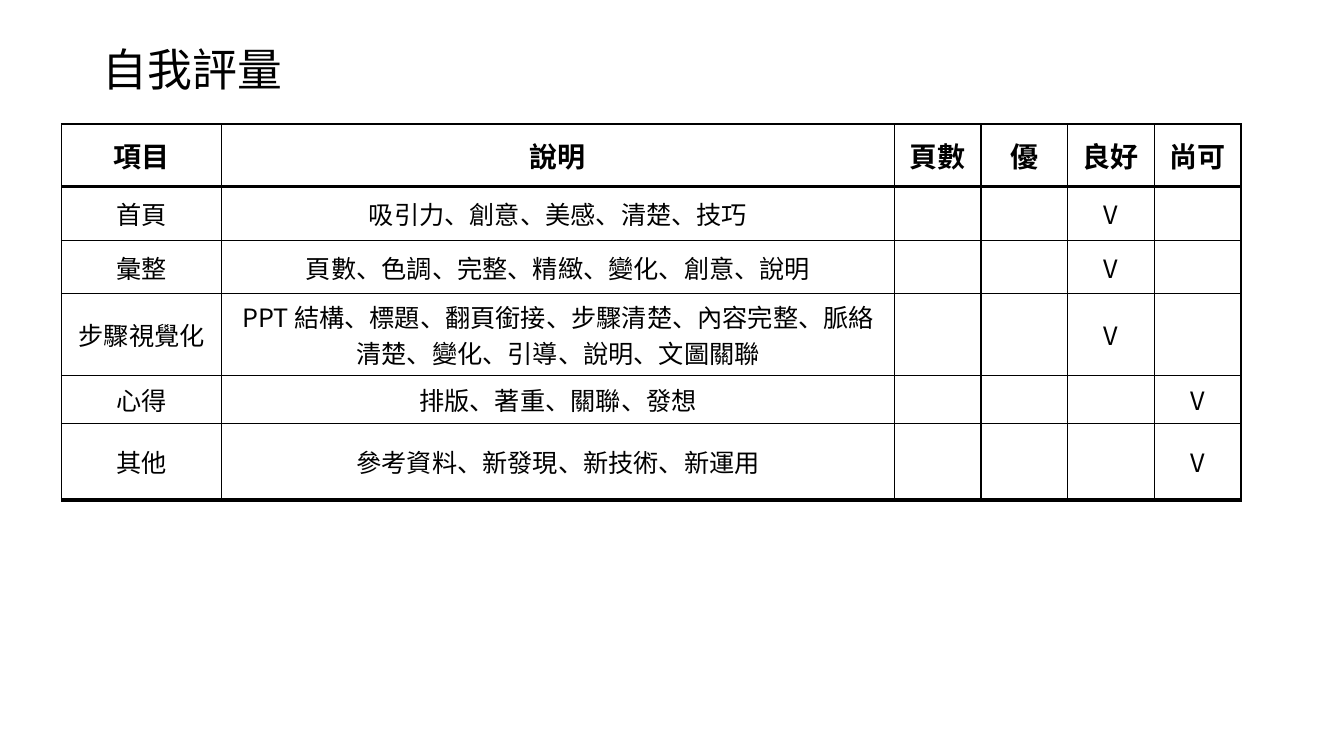
import pptx
import pptx.dml.color
import pptx.enum.text
import pptx.oxml
import pptx.oxml.ns
import pptx.util
from pptx.util import Inches

COLORS = {"ink": "000000", "paper": "FFFFFF"}
FONT = "Noto Sans CJK SC"
ALIGN = pptx.enum.text.PP_ALIGN
MIDDLE = pptx.enum.text.MSO_ANCHOR.MIDDLE

COLUMN_WIDTHS = [1.59, 6.67] + [0.86] * 4
ROW_HEIGHTS = [0.62, 0.54, 0.52, 0.82, 0.47, 0.76]
HEADINGS = ["項目", "說明", "頁數", "優", "良好", "尚可"]
# Item, description, heading of the ticked column
RATINGS = [
    ("首頁", "吸引力、創意、美感、清楚、技巧", "良好"),
    ("彙整", "頁數、色調、完整、精緻、變化、創意、說明", "良好"),
    ("步驟視覺化",
     "PPT 結構、標題、翻頁銜接、步驟清楚、內容完整、脈絡清楚、變化、引導、說明、文圖關聯",
     "良好"),
    ("心得", "排版、著重、關聯、發想", "尚可"),
    ("其他", "參考資料、新發現、新技術、新運用", "尚可"),
]


def color(name):
    return pptx.dml.color.RGBColor.from_string(COLORS[name])


class SlideBuilder:
    """Holds the style and the current slide."""

    def __init__(self, presentation):
        self.slide = presentation.slides.add_slide(presentation.slide_layouts[6])

    def add_text(self, frame, text, size, align, bold=False, spacing=1.0):
        paragraph = frame.paragraphs[0]
        paragraph.alignment = align
        paragraph.line_spacing = spacing
        run = paragraph.add_run()
        run.text = text
        formats = {"name": FONT, "size": pptx.util.Pt(size), "bold": bold}
        for attribute, value in formats.items():
            setattr(run.font, attribute, value)
        run.font.color.rgb = color("ink")
        east_asian = pptx.oxml.parse_xml(
            f'<a:ea {pptx.oxml.ns.nsdecls("a")} typeface="{FONT}"/>')
        run.font._element.append(east_asian)

    def title(self, text, left, top, width, height):
        shape = self.slide.shapes.add_textbox(*map(Inches, (left, top, width, height)))
        formats = {"word_wrap": True, "vertical_anchor": MIDDLE}
        for attribute, value in formats.items():
            setattr(shape.text_frame, attribute, value)
        self.add_text(shape.text_frame, text, 32, ALIGN.LEFT, spacing=0.9)

    def borders(self, cell, top, bottom):
        properties = cell._tc.get_or_add_tcPr()
        widths = {"lnL": 1, "lnR": 1, "lnT": top, "lnB": bottom}
        for position, (side, width) in enumerate(widths.items()):
            line = pptx.oxml.parse_xml(
                f'<a:{side} {pptx.oxml.ns.nsdecls("a")} w="{pptx.util.Pt(width)}">'
                f'<a:solidFill><a:srgbClr val="{COLORS["ink"]}"/></a:solidFill>'
                f'</a:{side}>')
            properties.insert(position, line)

    def table(self, rows, left, top):
        size = (sum(COLUMN_WIDTHS), sum(ROW_HEIGHTS))
        table = self.slide.shapes.add_table(
            len(rows), len(COLUMN_WIDTHS), *map(Inches, (left, top, *size))).table
        for column, width in zip(table.columns, COLUMN_WIDTHS):
            column.width = Inches(width)
        for index, (row, height, texts) in enumerate(zip(table.rows, ROW_HEIGHTS, rows)):
            row.height = Inches(height)
            header = index == 0
            # Thick rules lie below the header and below the last row
            top_rule = 3 if index == 1 else 1
            bottom_rule = 3 if index in (0, len(rows) - 1) else 1
            for cell, text in zip(row.cells, texts):
                cell.vertical_anchor = MIDDLE
                cell.fill.solid()
                cell.fill.fore_color.rgb = color("paper")
                self.borders(cell, top_rule, bottom_rule)
                if text:
                    self.add_text(cell.text_frame, text, 20 if header else 18,
                                  ALIGN.CENTER, bold=header)


def main():
    presentation = pptx.Presentation()
    presentation.slide_width = Inches(13.33)
    presentation.slide_height = Inches(7.5)
    builder = SlideBuilder(presentation)

    # Title
    builder.title("自我評量", 0.92, 0.4, 11.5, 0.62)

    # Rating table
    rows = [HEADINGS]
    for item, description, rating in RATINGS:
        ticks = ["V" if heading == rating else "" for heading in HEADINGS[2:]]
        rows.append([item, description, *ticks])
    builder.table(rows, 0.61, 1.23)

    presentation.save("out.pptx")


if __name__ == "__main__":
    main()
